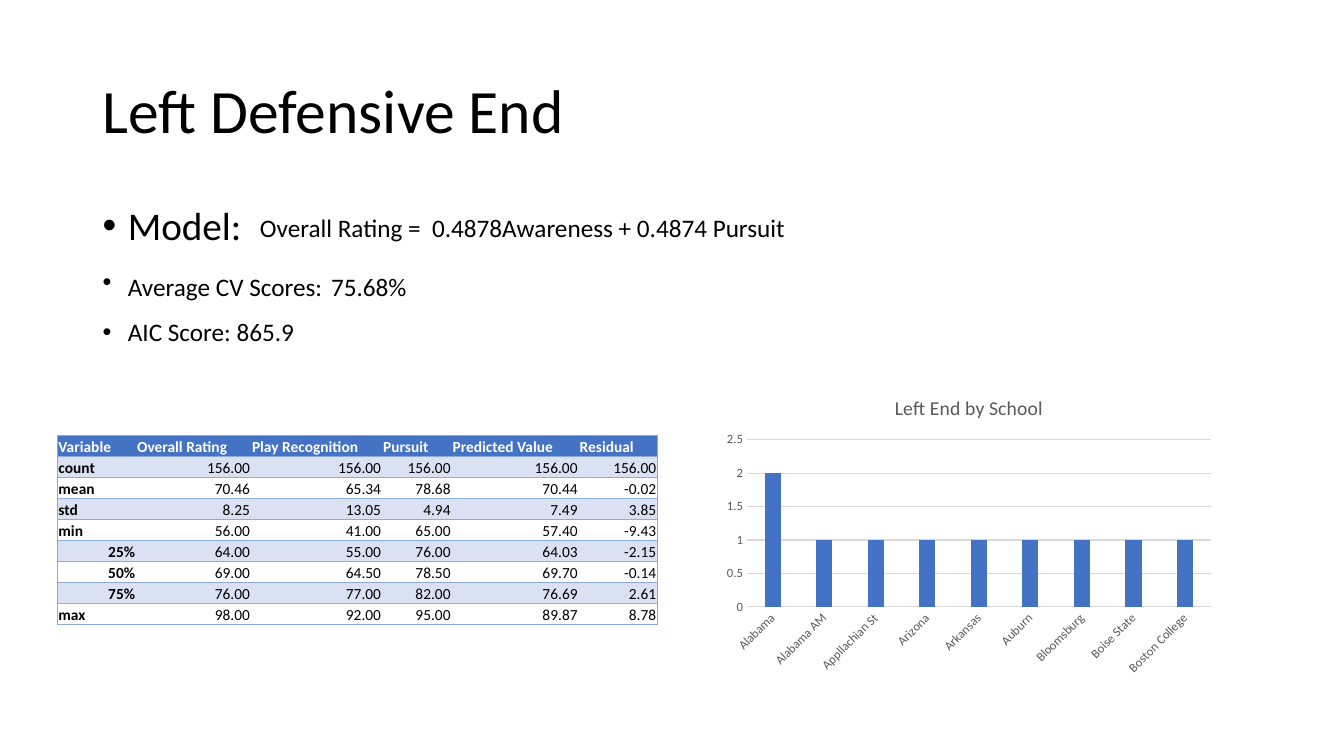
from lxml.etree import SubElement
from pptx import Presentation
from pptx.chart.data import CategoryChartData as ChartData
from pptx.dml.color import RGBColor
from pptx.enum.chart import XL_CHART_TYPE as Kind, XL_TICK_MARK as Tick
from pptx.enum.text import MSO_ANCHOR as Anchor, PP_ALIGN as Align
from pptx.oxml.ns import qn
from pptx.util import Inches, Pt

BLACK = RGBColor(0, 0, 0)
WHITE = RGBColor(255, 255, 255)
BLUE = RGBColor(0x44, 0x72, 0xC4)
PALE = RGBColor(0xD9, 0xE1, 0xF2)
EDGE = RGBColor(0x8E, 0xA9, 0xDB)
GRAY = RGBColor(0x59, 0x59, 0x59)
GRID = RGBColor(0xD9, 0xD9, 0xD9)

HEAD = ["Variable", "Overall Rating", "Play Recognition", "Pursuit",
        "Predicted Value", "Residual"]
STATS = [
    ["count", "156.00", "156.00", "156.00", "156.00", "156.00"],
    ["mean", "70.46", "65.34", "78.68", "70.44", "-0.02"],
    ["std", "8.25", "13.05", "4.94", "7.49", "3.85"],
    ["min", "56.00", "41.00", "65.00", "57.40", "-9.43"],
    ["25%", "64.00", "55.00", "76.00", "64.03", "-2.15"],
    ["50%", "69.00", "64.50", "78.50", "69.70", "-0.14"],
    ["75%", "76.00", "77.00", "82.00", "76.69", "2.61"],
    ["max", "98.00", "92.00", "95.00", "89.87", "8.78"],
]
WIDTHS = [0.78, 1.14, 1.3, 0.69, 1.26, 0.78]
SCHOOLS = ["Alabama", "Alabama AM", "Appllachian St", "Arizona", "Arkansas",
           "Auburn", "Bloomsburg", "Boise State", "Boston College"]
COUNTS = [2] + [1] * 8


def apply(item, **style):
    for key, value in style.items():
        setattr(item, key, value)


class Page:
    face = "Calibri"

    def __init__(self, deck):
        self.slide = deck.slides.add_slide(deck.slide_layouts[6])
        self.shapes = self.slide.shapes

    def font(self, item, size, color=BLACK, bold=False):
        apply(item, name=self.face, size=Pt(size), bold=bold)
        item.color.rgb = color

    def text(self, box, paras, wrap=True, anchor=Anchor.TOP, line=1.0, bullet=False):
        frame = self.shapes.add_textbox(*map(Inches, box)).text_frame
        apply(frame, word_wrap=wrap, vertical_anchor=anchor)
        for i, runs in enumerate(paras):
            para = frame.add_paragraph() if i else frame.paragraphs[0]
            if bullet:
                self.bullet(para)
            apply(para, line_spacing=line, space_before=Pt(10 if i else 0))
            for words, size in runs:
                run = para.add_run()
                run.text = words
                self.font(run.font, size)

    def bullet(self, para):
        props = para._p.get_or_add_pPr()
        props.set("marL", str(Inches(0.25)))
        props.set("indent", str(Inches(-0.25)))
        SubElement(props, qn("a:buFont"), typeface="Arial")
        SubElement(props, qn("a:buChar"), char="•")

    def border(self, cell, sides):
        props = cell._tc.get_or_add_tcPr()
        for side in "LRTB":
            line = SubElement(props, qn("a:ln" + side), w=str(Pt(0.5)))
            if side in sides:
                fill = SubElement(line, qn("a:solidFill"))
                SubElement(fill, qn("a:srgbClr"), val=str(EDGE))
            else:
                SubElement(line, qn("a:noFill"))

    def table(self, box, rows, widths):
        grid = self.shapes.add_table(len(rows), len(widths), *map(Inches, box)).table
        for col, width in zip(grid.columns, widths):
            col.width = Inches(width)
        for r, row in enumerate(rows):
            for c, words in enumerate(row):
                cell = grid.cell(r, c)
                apply(cell, text=words, vertical_anchor=Anchor.BOTTOM,
                      margin_left=Inches(0.01), margin_right=Inches(0.01),
                      margin_top=Inches(0.01), margin_bottom=0)
                ends = {0: "L", len(row) - 1: "R"}
                self.border(cell, "TB" + ends.get(c, ""))
                if r % 2 or not r:
                    cell.fill.solid()
                    cell.fill.fore_color.rgb = PALE if r else BLUE
                else:
                    cell.fill.background()
                para = cell.text_frame.paragraphs[0]
                right = r and (c or words.endswith("%"))
                para.alignment = Align.RIGHT if right else Align.LEFT
                self.font(para.font, 11, BLACK if r else WHITE, not (r and c))

    def chart(self, box, title, names, values):
        data = ChartData()
        data.categories = names
        data.add_series("Series 1", values)
        chart = self.shapes.add_chart(
            Kind.COLUMN_CLUSTERED, *map(Inches, box), data).chart
        self.font(chart.font, 10)
        apply(chart, has_legend=False, has_title=True)
        frame = chart.chart_title.text_frame
        frame.text = title
        self.font(frame.paragraphs[0].runs[0].font, 14, GRAY)
        chart.chart_title.include_in_layout = False
        plot = chart.plots[0]
        apply(plot, gap_width=219, overlap=-27, vary_by_categories=False)
        bars = plot.series[0].format.fill
        bars.solid()
        bars.fore_color.rgb = BLUE
        base, scale = chart.category_axis, chart.value_axis
        for axis in (base, scale):
            apply(axis, major_tick_mark=Tick.NONE, minor_tick_mark=Tick.NONE)
            self.font(axis.tick_labels.font, 9, GRAY)
        base._element.find(qn("c:txPr")).find(qn("a:bodyPr")).set("rot", "-2700000")
        apply(scale, minimum_scale=0, maximum_scale=2.5, major_unit=0.5,
              has_major_gridlines=True)
        scale.format.line.fill.background()
        for line in (base.format.line, scale.major_gridlines.format.line):
            line.color.rgb = GRID
            line.width = Pt(0.75)


def main():
    deck = Presentation()
    apply(deck, slide_width=Inches(13.33), slide_height=Inches(7.5))
    page = Page(deck)
    page.text((0.92, 0.4, 11.5, 1.45), [[("Left Defensive End", 44)]],
              anchor=Anchor.MIDDLE, line=0.9)
    page.text((0.92, 2, 11.5, 4.76), [
        [("Model:", 28)],
        [("Average CV Scores:", 18), (" ", 28), ("75.68%", 18)],
        [("AIC Score: 865.9", 18)],
    ], line=0.9, bullet=True)
    page.chart((7.11, 3.76, 5, 3), "Left End by School", SCHOOLS, COUNTS)
    page.text((2.48, 2.06, 5.6, 0.4),
              [[("Overall Rating =  0.4878Awareness + 0.4874 Pursuit", 18)]],
              wrap=False)
    page.table((0.57, 4.32, 5.96, 1.88), [HEAD] + STATS, WIDTHS)
    deck.save("out.pptx")


if __name__ == "__main__":
    main()
